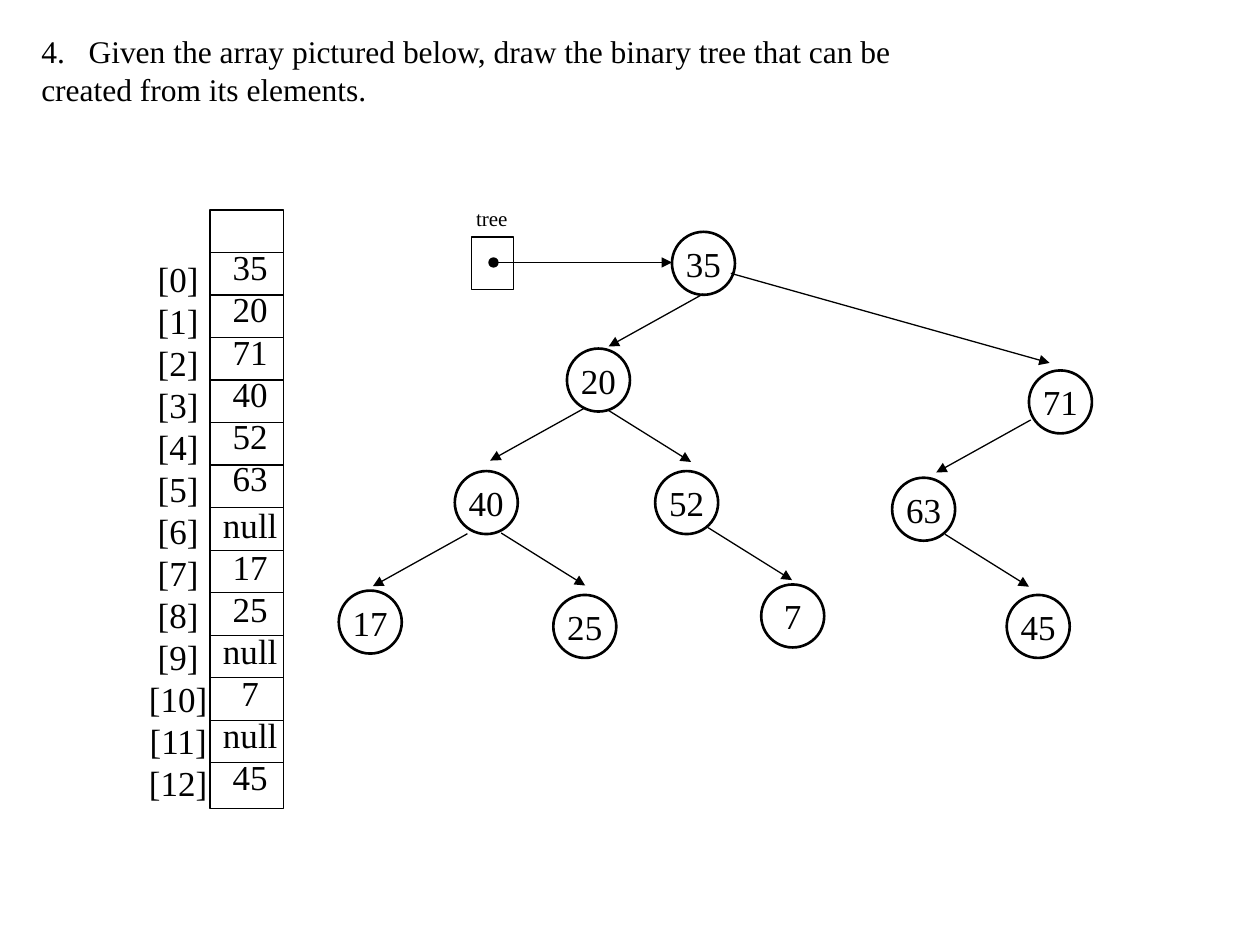
from lxml.etree import SubElement
from pptx import Presentation
from pptx.dml.color import RGBColor
from pptx.enum.shapes import MSO_CONNECTOR as Connector, MSO_SHAPE as Shape
from pptx.enum.text import MSO_ANCHOR as Anchor, PP_ALIGN as Align
from pptx.oxml.ns import qn
from pptx.util import Pt

COLORS = {"ink": "000000"}
FONT = "Times New Roman"

QUESTION = [
    "Given the array pictured below, draw the binary tree that can be",
    "created from its elements.",
]
QUESTION_NUMBER = 4
VALUES = ["35", "20", "71", "40", "52", "63", "null",
          "17", "25", "null", "7", "null", "45"]
INDEXES = [f"[{index}]" for index in range(len(VALUES))]

NODE_SIZE = 36
NODES = {
    "35": (384, 132.5),
    "20": (324, 199.2),
    "71": (588, 211.7),
    "40": (259.9, 269.2),
    "52": (374.4, 269.2),
    "63": (509.8, 273),
    "17": (193.6, 337.5),
    "25": (316.2, 340),
    "7": (435, 334),
    "45": (575.3, 340),
}
LEFT_STEP, RIGHT_STEP, LONG_STEP = (-54, 30), (48, 30), (182.2, 51.2)
EDGES = [
    ((401.8, 168), LEFT_STEP),
    ((417.6, 156.2), LONG_STEP),
    ((334.1, 233.2), LEFT_STEP),
    ((346.9, 234), RIGHT_STEP),
    ((267.1, 305), LEFT_STEP),
    ((286.4, 304.6), RIGHT_STEP),
    ((404.6, 301.5), RIGHT_STEP),
    ((589, 240), LEFT_STEP),
    ((540, 305.3), RIGHT_STEP),
]

ARRAY_LEFT, ARRAY_TOP, ARRAY_WIDTH, ARRAY_HEIGHT = 120, 120, 42, 342
ROW_HEIGHT = 24.3
TEXT_LEADING = 24

deck = Presentation()
deck.slide_width, deck.slide_height = Pt(720), Pt(540)
page = deck.slides.add_slide(deck.slide_layouts[6])


def ink():
    return RGBColor.from_string(COLORS["ink"])


def write(frame, lines, size, align, leading=None):
    frame.word_wrap = False
    for number, line in enumerate(lines):
        para = frame.add_paragraph() if number else frame.paragraphs[0]
        para.text = line
        para.alignment = align
        para.font.name, para.font.size = FONT, Pt(size)
        para.font.color.rgb = ink()
        if leading:
            para.line_spacing = Pt(leading)
    return frame.paragraphs


def add_text(lines, left, top, width, height, size, align, leading=None):
    box = page.shapes.add_textbox(Pt(left), Pt(top), Pt(width), Pt(height))
    return write(box.text_frame, lines, size, align, leading)


def add_outline(kind, left, top, width, height, weight):
    shape = page.shapes.add_shape(kind, Pt(left), Pt(top), Pt(width), Pt(height))
    shape.shadow.inherit = False
    shape.fill.background()
    shape.line.color.rgb = ink()
    shape.line.width = Pt(weight)
    return shape


def add_line(start, end, head=None, tail=None):
    line = page.shapes.add_connector(
        Connector.STRAIGHT, *(Pt(value) for value in (*start, *end)))
    line.line.color.rgb = ink()
    line.line.width = Pt(0.75)
    outline = line.line._get_or_add_ln()
    for tag, kind in (("a:headEnd", head), ("a:tailEnd", tail)):
        if kind:
            SubElement(outline, qn(tag), type=kind)
    SubElement(line._element.spPr, qn("a:effectLst"))


def add_question():
    first, _ = add_text(QUESTION, 16.5, 14.8, 505.5, 51, 18, Align.LEFT, 21.6)
    properties = first._p.get_or_add_pPr()
    properties.set("marL", str(Pt(27)))
    properties.set("indent", str(-Pt(27)))
    SubElement(properties, qn("a:buFont"), typeface=FONT)
    SubElement(properties, qn("a:buAutoNum"),
               type="arabicPeriod", startAt=str(QUESTION_NUMBER))


def add_array():
    add_outline(Shape.RECTANGLE, ARRAY_LEFT, ARRAY_TOP,
                ARRAY_WIDTH, ARRAY_HEIGHT, 0.75)
    for row in range(1, len(VALUES) + 1):
        y = ARRAY_TOP + row * ROW_HEIGHT
        add_line((ARRAY_LEFT, y), (ARRAY_LEFT + ARRAY_WIDTH, y))
    add_text(INDEXES, 77.8, 143.4, 48, 322, 20, Align.CENTER, TEXT_LEADING)
    values = add_text(VALUES, ARRAY_LEFT, 137, 46, 322, 20,
                      Align.CENTER, TEXT_LEADING)
    values[VALUES.index("null")].space_before = Pt(3)


def add_tree():
    add_text(["tree"], 265, 113.8, 32.4, 21.6, 12, Align.LEFT)
    add_outline(Shape.RECTANGLE, 269.3, 135.5, 24, 30, 0.75)
    add_line((282, 150), (384, 150), head="oval", tail="triangle")
    for (x, y), (across, down) in EDGES:
        add_line((x, y), (x + across, y + down), tail="triangle")
    for label, (left, top) in NODES.items():
        node = add_outline(Shape.OVAL, left, top, NODE_SIZE, NODE_SIZE, 1.5)
        node.text_frame.vertical_anchor = Anchor.MIDDLE
        write(node.text_frame, [label], 20, Align.CENTER)


add_question()
add_array()
add_tree()
deck.save("out.pptx")
